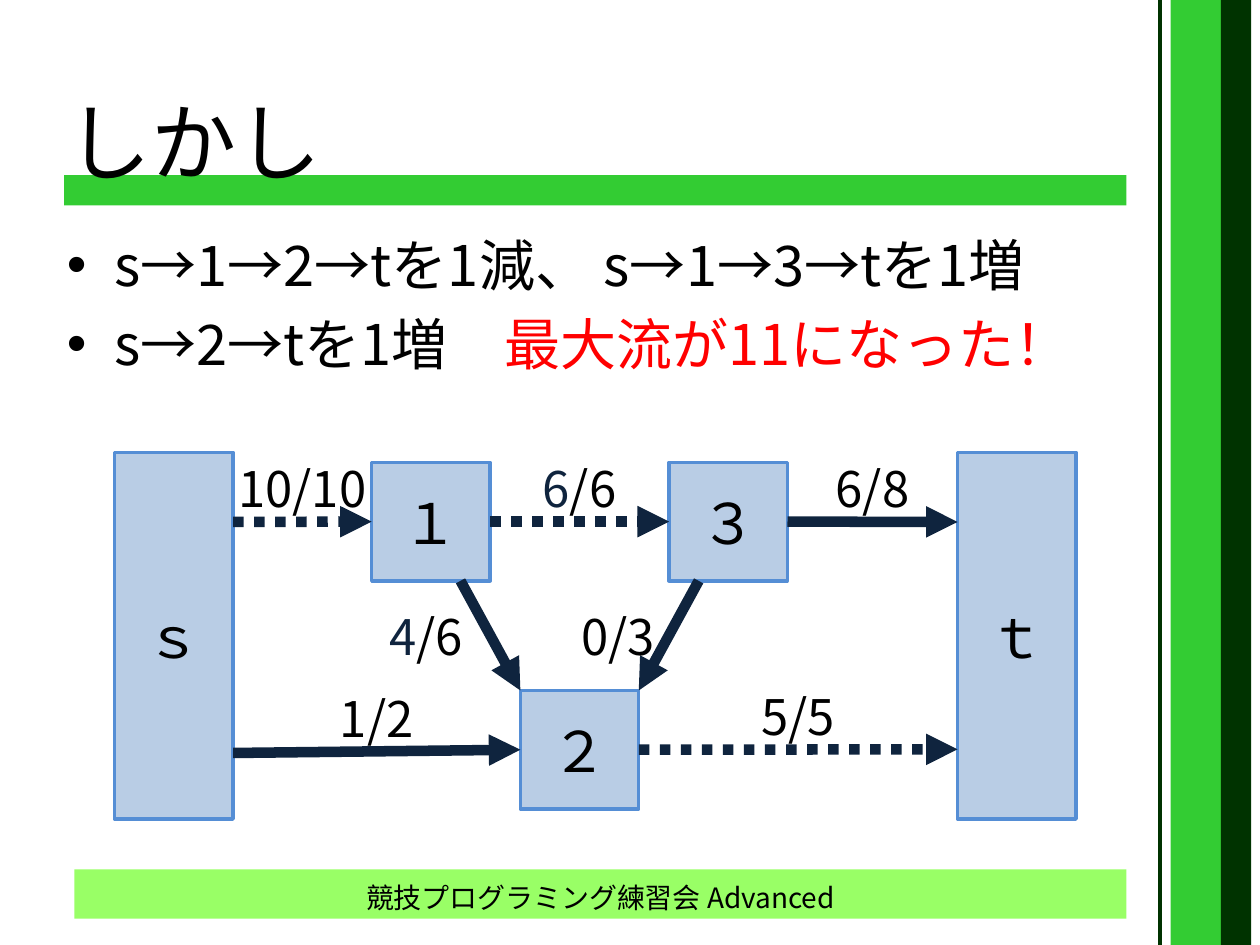
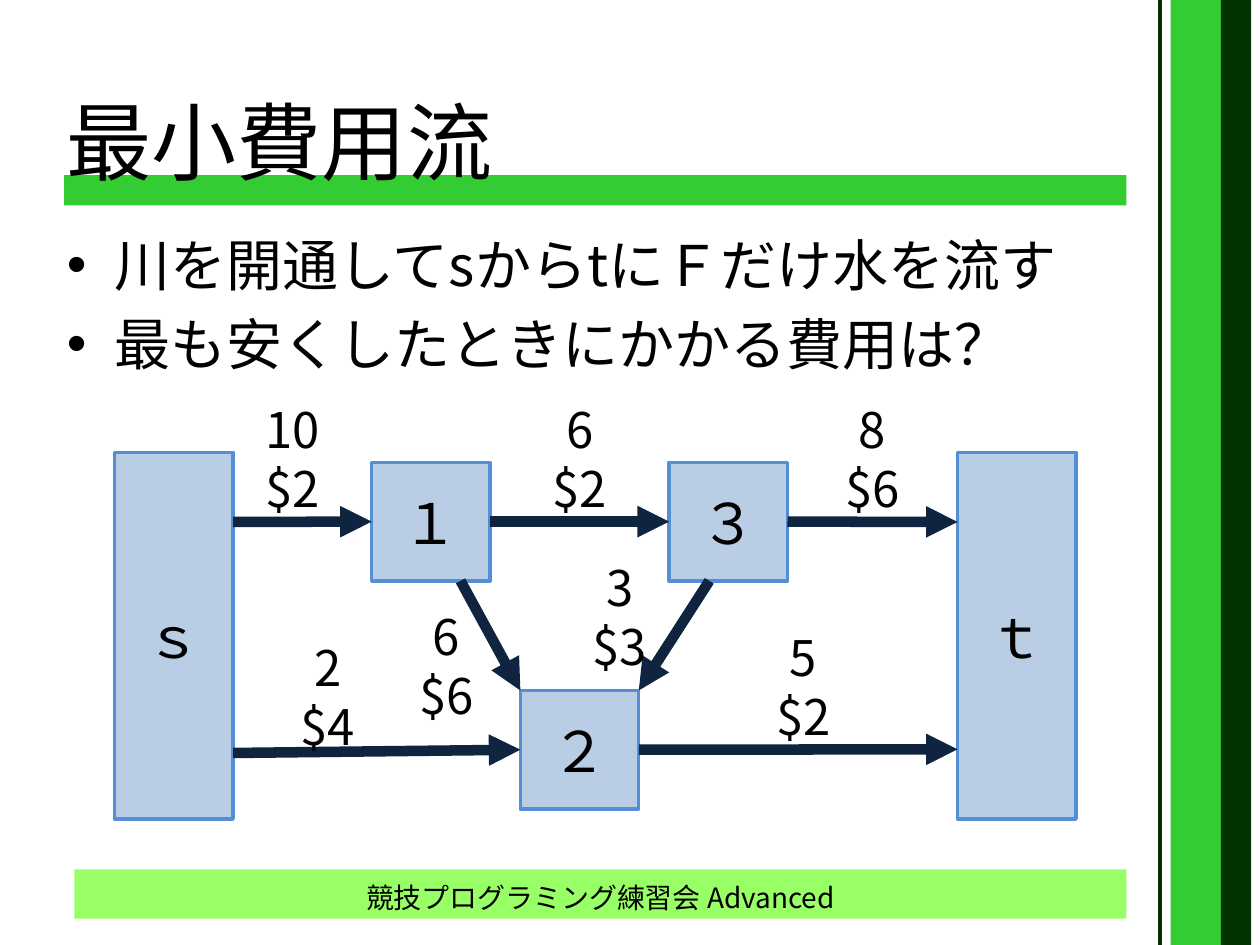
"""Build two slides on network flow, each with a graph of five nodes."""
from dataclasses import dataclass

from lxml import etree
from pptx import Presentation
from pptx.dml.color import RGBColor
from pptx.enum.dml import MSO_LINE
from pptx.enum.shapes import MSO_CONNECTOR, MSO_SHAPE
from pptx.enum.text import MSO_ANCHOR, MSO_AUTO_SIZE, PP_ALIGN
from pptx.oxml.ns import qn
from pptx.util import Inches, Pt

RECT = MSO_SHAPE.RECTANGLE
STRAIGHT = MSO_CONNECTOR.STRAIGHT
DOTS = MSO_LINE.ROUND_DOT
LEFT, CENTER = PP_ALIGN.LEFT, PP_ALIGN.CENTER
TOP, MIDDLE = MSO_ANCHOR.TOP, MSO_ANCHOR.MIDDLE
FIXED, GROW = MSO_AUTO_SIZE.NONE, MSO_AUTO_SIZE.SHAPE_TO_FIT_TEXT


@dataclass(frozen=True)
class Theme:
    font: str = "Noto Sans CJK JP"
    ink: str = "000000"
    red: str = "FF0000"
    navy: str = "0F243E"
    node: str = "B9CDE5"
    edge: str = "558ED5"
    lime: str = "99FF66"
    green: str = "33CC33"
    dark: str = "003300"
    title: float = 48.6
    body: float = 32
    label: float = 28
    foot: float = 16


LOOK = Theme()
WIDE, HIGH = 10, 7.5
TITLE = (0.43, 0.68, 10, 0.87)
BODY = (0.43, 1.78, 9.08, 4.95)
FOOT = (0.59, 6.9, 8.35, 0.45)
FOOTER = "競技プログラミング練習会 Advanced"
BANDS = [
    ((0.59, 6.9, 8.35, 0.39), LOOK.lime),
    ((9.29, 0, 0.63, HIGH), LOOK.green),
    ((0.51, 1.39, 8.43, 0.24), LOOK.green),
    ((9.69, 0, 0.24, HIGH), LOOK.dark),
]
RULE = 9.21

SIDE, TALL = 0.94, 2.91
NODES = {
    "ｓ": (0.91, 3.59, SIDE, TALL),
    "ｔ": (7.6, 3.59, SIDE, TALL),
    "１": (2.95, 3.67, SIDE, SIDE),
    "２": (4.13, 5.48, SIDE, SIDE),
    "３": (5.31, 3.67, SIDE, SIDE),
}
HIGH_PORT, LOW_PORT = 0.19, 0.81
EDGES = {
    "s1": (("ｓ", 1, HIGH_PORT), ("１", 0, 0.5)),
    "s2": (("ｓ", 1, 0.82), ("２", 0, 0.5)),
    "13": (("１", 1, 0.5), ("３", 0, 0.5)),
    "3t": (("３", 1, 0.5), ("ｔ", 0, HIGH_PORT)),
    "2t": (("２", 1, 0.5), ("ｔ", 0, LOW_PORT)),
    "12": (("１", 0.75, 1), ("２", 0, 0)),
    "32": (("３", 0.25, 1), ("２", 1, 0)),
}

# Each label: lines of runs, then its shift from the middle of the edge.
SLIDES = [
    {
        "title": "しかし",
        "body": [
            ["s→1→2→tを1減、 s→1→3→tを1増"],
            ["s→2→tを1増　", ("最大流が11になった！", LOOK.red)],
        ],
        "full": {"s1", "13", "2t"},
        "labels": {
            "s1": ([["10/10"]], 0, 0),
            "s2": ([["1/2"]], 0, 0),
            "13": ([[("6", LOOK.navy), "/6"]], 0, 0),
            "3t": ([["6/8"]], 0, 0),
            "2t": ([["5/5"]], 0, 0),
            "12": ([[("4", LOOK.navy), "/6"]], -0.51, 0.27),
            "32": ([["0/3"]], -0.4, 0.27),
        },
    },
    {
        "title": "最小費用流",
        "body": [
            ["川を開通してsからtにＦだけ水を流す"],
            ["最も安くしたときにかかる費用は？"],
        ],
        "full": set(),
        "labels": {
            "s1": ([["10"], ["$2"]], -0.08, 0),
            "s2": ([["2"], ["$4"]], -0.39, 0.07),
            "13": ([["6"], ["$2"]], 0, 0),
            "3t": ([["8"], ["$6"]], 0, 0),
            "2t": ([["5"], ["$2"]], 0.04, 0),
            "12": ([["6"], ["$6"]], -0.35, 0.74),
            "32": ([["3"], ["$3"]], -0.43, 0.35),
        },
        "ports": {"32": (("３", 0.34, 1), ("２", 1, 0))},
    },
]


def color(code):
    return RGBColor.from_string(code)


def write(shape, lines, size, align=CENTER, anchor=MIDDLE, fit=FIXED):
    frame = shape.text_frame
    frame.word_wrap = True
    frame.auto_size = fit
    frame.vertical_anchor = anchor
    for i, runs in enumerate(lines):
        para = frame.add_paragraph() if i else frame.paragraphs[0]
        para.alignment = align
        for part in runs:
            text, ink = (part, LOOK.ink) if isinstance(part, str) else part
            run = para.add_run()
            run.text = text
            run.font.size = Pt(size)
            run.font.name = LOOK.font
            run.font.color.rgb = color(ink)
            east = etree.SubElement(run.font.fill._xPr, qn("a:ea"))
            east.set("typeface", LOOK.font)


def place(shape, box):
    shape.left, shape.top, shape.width, shape.height = map(Inches, box)


def block(slide, box, fill, edge=None):
    shape = slide.shapes.add_shape(RECT, *map(Inches, box))
    shape.shadow.inherit = False
    shape.fill.solid()
    shape.fill.fore_color.rgb = color(fill)
    if edge:
        shape.line.color.rgb = color(edge)
        shape.line.width = Pt(2)
    else:
        shape.line.fill.background()
    return shape


def stroke(slide, start, end, ink, width):
    line = slide.shapes.add_connector(STRAIGHT, *map(Inches, start + end))
    line.line.color.rgb = color(ink)
    line.line.width = Pt(width)
    etree.SubElement(line.element.spPr, qn("a:effectLst"))
    return line


def arrow(slide, start, end, full):
    line = stroke(slide, start, end, LOOK.navy, 6)
    if full:
        line.line.dash_style = DOTS
    tail = etree.SubElement(line.line._get_or_add_ln(), qn("a:tailEnd"))
    tail.set("type", "triangle")


def port(name, across, down):
    x, y, w, h = NODES[name]
    return x + across * w, y + down * h


def label(slide, lines, start, end, dx, dy):
    wide = 1.26 if len(lines[0][0]) > 3 else 0.87
    high = 0.1 + 0.47 * len(lines)
    x = (start[0] + end[0] - wide) / 2 + dx
    y = (start[1] + end[1]) / 2 + 0.02 + dy - high
    box = slide.shapes.add_textbox(*map(Inches, (x, y, wide, high)))
    write(box, lines, LOOK.label, anchor=TOP, fit=GROW)


def frame_master(slide, master):
    parts = [block(slide, box, fill) for box, fill in BANDS]
    parts.append(stroke(slide, (RULE, 0), (RULE, HIGH), LOOK.dark, 2.25))
    tree = master.shapes.element
    for i, part in enumerate(parts):
        part.element.xpath(".//p:cNvPr")[0].set("id", str(100 + i))
        tree.insert(2 + i, part.element)


def graph(slide, page):
    for name, box in NODES.items():
        write(block(slide, box, LOOK.node, LOOK.edge), [[name]], LOOK.body)
    ports = EDGES | page.get("ports", {})
    for key, (lines, dx, dy) in page["labels"].items():
        start, end = (port(*spot) for spot in ports[key])
        arrow(slide, start, end, key in page["full"])
        label(slide, lines, start, end, dx, dy)


def main():
    deck = Presentation()
    deck.slide_width, deck.slide_height = Inches(WIDE), Inches(HIGH)
    for i, page in enumerate(SLIDES):
        slide = deck.slides.add_slide(deck.slide_layouts[1])
        if not i:
            frame_master(slide, deck.slide_master)
        title, body = slide.placeholders
        place(title, TITLE)
        write(title, [[page["title"]]], LOOK.title, LEFT)
        place(body, BODY)
        write(body, page["body"], LOOK.body, LEFT, TOP)
        foot = slide.shapes.add_textbox(*map(Inches, FOOT))
        write(foot, [[FOOTER]], LOOK.foot)
        graph(slide, page)
    deck.save("out.pptx")


if __name__ == "__main__":
    main()
